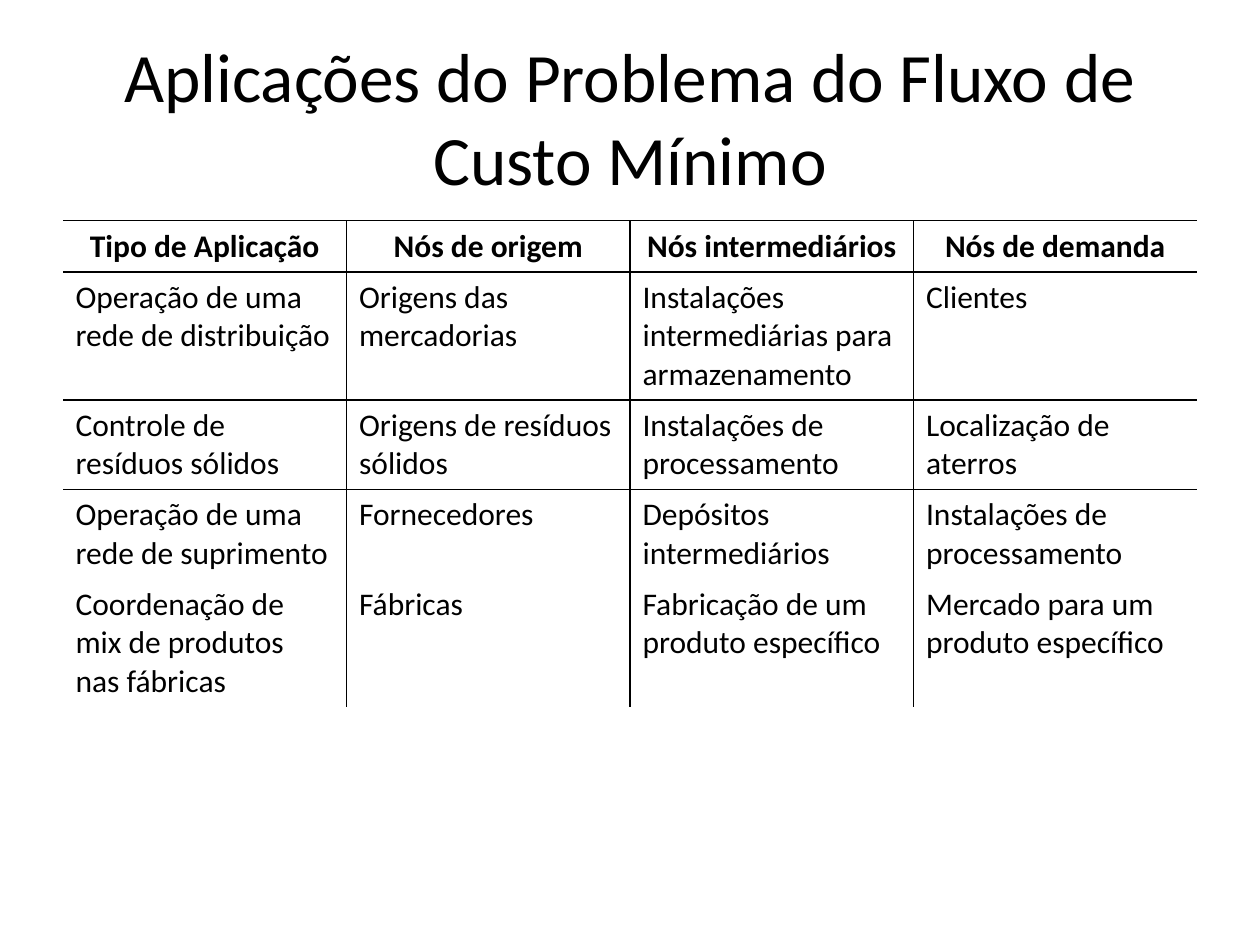
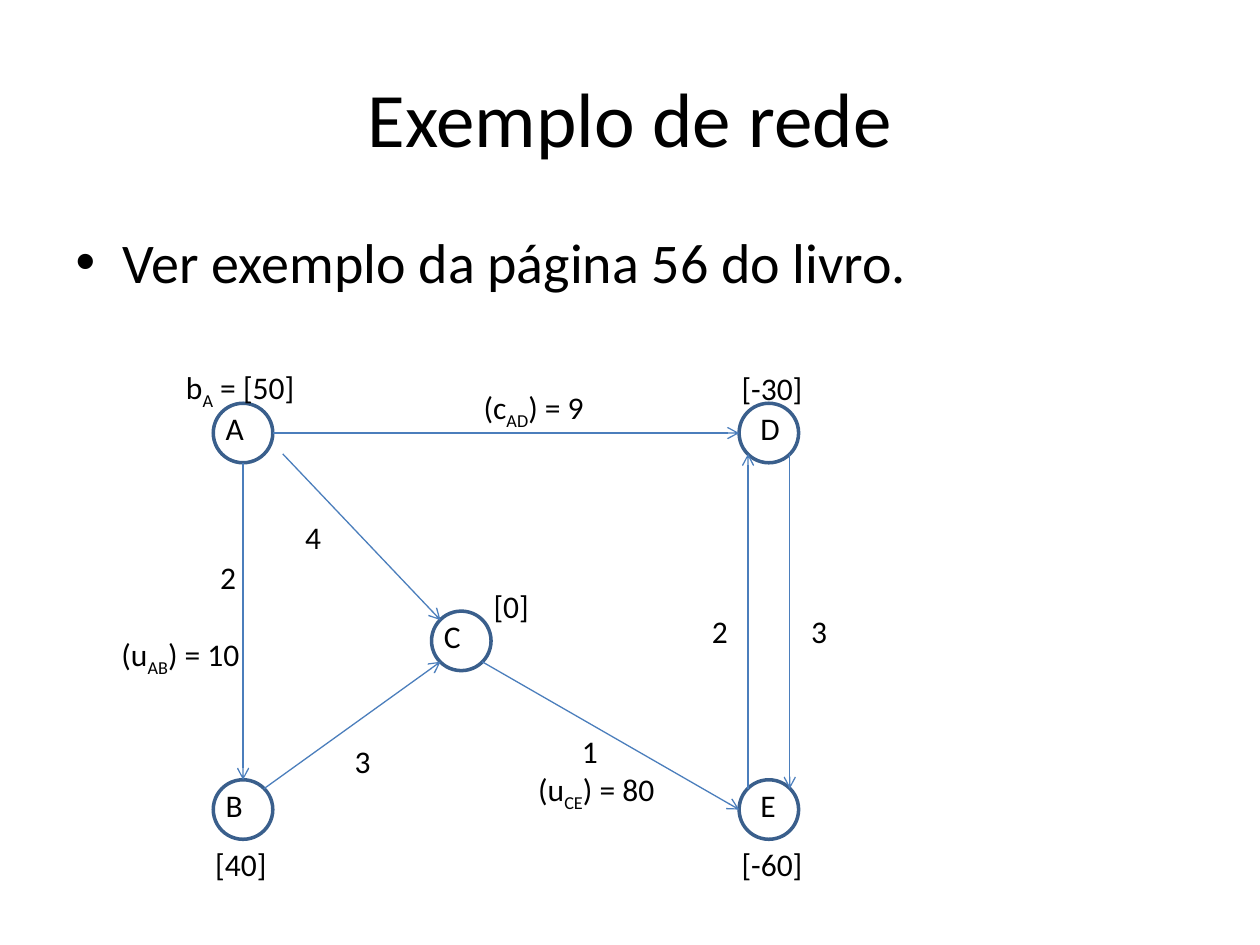
from lxml.etree import SubElement
from pptx import Presentation
from pptx.dml.color import RGBColor
from pptx.enum.shapes import MSO_CONNECTOR, MSO_SHAPE
from pptx.enum.text import MSO_ANCHOR, MSO_AUTO_SIZE, PP_ALIGN
from pptx.oxml.ns import qn
from pptx.util import Cm, Pt

COLORS = {"text": "000000", "border": "000000", "node": "3A5F8C", "edge": "4B7EBC"}
FONT = "Calibri"
PLAIN_TABLE_STYLE = "{2D5ABB26-0587-4C30-8999-92F81FD0307C}"
MARGIN, CONTENT_WIDTH, CONTENT_TOP = 1.27, 22.86, 4.45


def write(tf, text, size=18, bold=False, align=PP_ALIGN.LEFT):
    """Fill the first paragraph; text between bars becomes a subscript."""
    tf.word_wrap = True
    p = tf.paragraphs[0]
    p.alignment = align
    p.space_before = Pt(0)
    for i, part in enumerate(text.split("|")):
        r = p.add_run()
        r.text = part
        r.font.name = FONT
        r.font.size = Pt(size)
        r.font.bold = bold
        r.font.color.rgb = RGBColor.from_string(COLORS["text"])
        if i % 2:
            r.font._element.set("baseline", "-25000")


def add_border(cell, side):
    ln = SubElement(cell._tc.get_or_add_tcPr(), qn(f"a:ln{side}"), w=str(Pt(1)))
    fill = SubElement(ln, qn("a:solidFill"))
    SubElement(fill, qn("a:srgbClr"), val=COLORS["border"])


prs = Presentation()
prs.slide_width, prs.slide_height = Cm(25.4), Cm(19.05)

# Slides and titles
slides = []
for layout, title, size in [
    (5, "Aplicações do Problema do Fluxo de Custo Mínimo", 39.6),
    (1, "Exemplo de rede", 44),
]:
    s = prs.slides.add_slide(prs.slide_layouts[layout])
    sp = s.shapes.title
    sp.left, sp.top, sp.width, sp.height = Cm(MARGIN), Cm(0.76), Cm(CONTENT_WIDTH), Cm(3.18)
    tf = sp.text_frame
    tf.auto_size = MSO_AUTO_SIZE.NONE
    tf.vertical_anchor = MSO_ANCHOR.MIDDLE
    write(tf, title, size=size, align=PP_ALIGN.CENTER)
    slides.append(s)
table_slide, network_slide = slides

# Table of applications
rows = [
    ("Tipo de Aplicação", "Nós de origem", "Nós intermediários", "Nós de demanda"),
    ("Operação de uma rede de distribuição", "Origens das mercadorias",
     "Instalações intermediárias para armazenamento", "Clientes"),
    ("Controle de resíduos sólidos", "Origens de resíduos sólidos",
     "Instalações de processamento", "Localização de aterros"),
    ("Operação de uma rede de suprimento", "Fornecedores",
     "Depósitos intermediários", "Instalações de processamento"),
    ("Coordenação de mix de produtos nas fábricas", "Fábricas",
     "Fabricação de um produto específico", "Mercado para um produto específico"),
]
row_heights = [1.03, 2.58, 1.8, 1.8, 2.58]
last_col = len(rows[0]) - 1
table = table_slide.shapes.add_table(
    len(rows), len(rows[0]), Cm(MARGIN), Cm(CONTENT_TOP),
    Cm(CONTENT_WIDTH), Cm(sum(row_heights))).table
table.horz_banding = False
table._tbl.tblPr.find(qn("a:tableStyleId")).text = PLAIN_TABLE_STYLE
for i, (row, height) in enumerate(zip(rows, row_heights)):
    table.rows[i].height = Cm(height)
    header = i == 0
    for j, text in enumerate(row):
        cell = table.cell(i, j)
        write(cell.text_frame, text, bold=header,
              align=PP_ALIGN.CENTER if header else PP_ALIGN.LEFT)
        sides = {"L": j > 0, "R": j < last_col, "T": i <= 2, "B": i <= 1}
        for side, drawn in sides.items():
            if drawn:
                add_border(cell, side)
        cell.fill.background()

# Bullet above the network
shapes = network_slide.shapes
body = network_slide.placeholders[1]
body.left, body.top, body.width, body.height = Cm(MARGIN), Cm(CONTENT_TOP), Cm(CONTENT_WIDTH), Cm(2.7)
body.text_frame.auto_size = MSO_AUTO_SIZE.NONE
write(body.text_frame, "Ver exemplo da página 56 do livro.", size=32)

# Nodes, placed by their centres
RADIUS = 0.6
nodes = {"A": (4.9, 8.73), "B": (4.9, 16.32), "C": (9.3, 12.92),
         "D": (15.5, 8.73), "E": (15.5, 16.32)}
for x, y in nodes.values():
    sp = shapes.add_shape(MSO_SHAPE.OVAL, Cm(x - RADIUS), Cm(y - RADIUS),
                          Cm(2 * RADIUS), Cm(2 * RADIUS))
    sp.shadow.inherit = False
    sp.fill.background()
    sp.line.color.rgb = RGBColor.from_string(COLORS["node"])
    sp.line.width = Pt(2)

# Directed edges, each end given as an offset from its node's centre
DIAG = 0.42
edges = [
    ("A", (0.8, DIAG), "C", (-DIAG, -DIAG)),
    ("C", (DIAG, DIAG), "E", (-RADIUS, 0)),
    ("A", (RADIUS, 0), "D", (-RADIUS, 0)),
    ("B", (DIAG, -DIAG), "C", (-DIAG, DIAG)),
    ("E", (-DIAG, -DIAG), "D", (-DIAG, DIAG)),
    ("D", (DIAG, DIAG), "E", (DIAG, -DIAG)),
    ("A", (0, RADIUS), "B", (0, -RADIUS)),
]
for start, (dx1, dy1), end, (dx2, dy2) in edges:
    (x1, y1), (x2, y2) = nodes[start], nodes[end]
    cxn = shapes.add_connector(MSO_CONNECTOR.STRAIGHT, Cm(x1 + dx1), Cm(y1 + dy1),
                               Cm(x2 + dx2), Cm(y2 + dy2))
    cxn.line.color.rgb = RGBColor.from_string(COLORS["edge"])
    cxn.line.width = Pt(0.75)
    SubElement(cxn.line._get_or_add_ln(), qn("a:tailEnd"), type="arrow")
    SubElement(cxn._element.spPr, qn("a:effectLst"))

# Node names, supplies and demands, costs and capacities
NARROW, MEDIUM, WIDE = 1.2, 1.8, 3.5
labels = [(name, x - (DIAG if name in "DE" else RADIUS), y - RADIUS, NARROW)
          for name, (x, y) in nodes.items()]
labels += [
    ("b|A| = [50]", 3.5, 7.29, WIDE),
    ("[-30]", 14.7, 7.32, MEDIUM),
    ("[40]", 4.09, 16.92, MEDIUM),
    ("[0]", 9.7, 11.71, MEDIUM),
    ("[-60]", 14.7, 16.92, MEDIUM),
    ("2", 14.1, 12.22, NARROW),
    ("3", 16.1, 12.22, NARROW),
    ("4", 5.9, 10.31, NARROW),
    ("3", 6.9, 14.83, NARROW),
    ("1", 11.48, 14.63, NARROW),
    ("(u|CE|) = 80", 10.6, 15.4, WIDE),
    ("(c|AD|) = 9", 9.5, 7.7, WIDE),
    ("2", 4.19, 11.13, NARROW),
    ("(u|AB|) = 10", 2.2, 12.68, WIDE),
]
for text, x, y, width in labels:
    box = shapes.add_textbox(Cm(x), Cm(y), Cm(width), Cm(1.03))
    write(box.text_frame, text)

prs.save("out.pptx")
